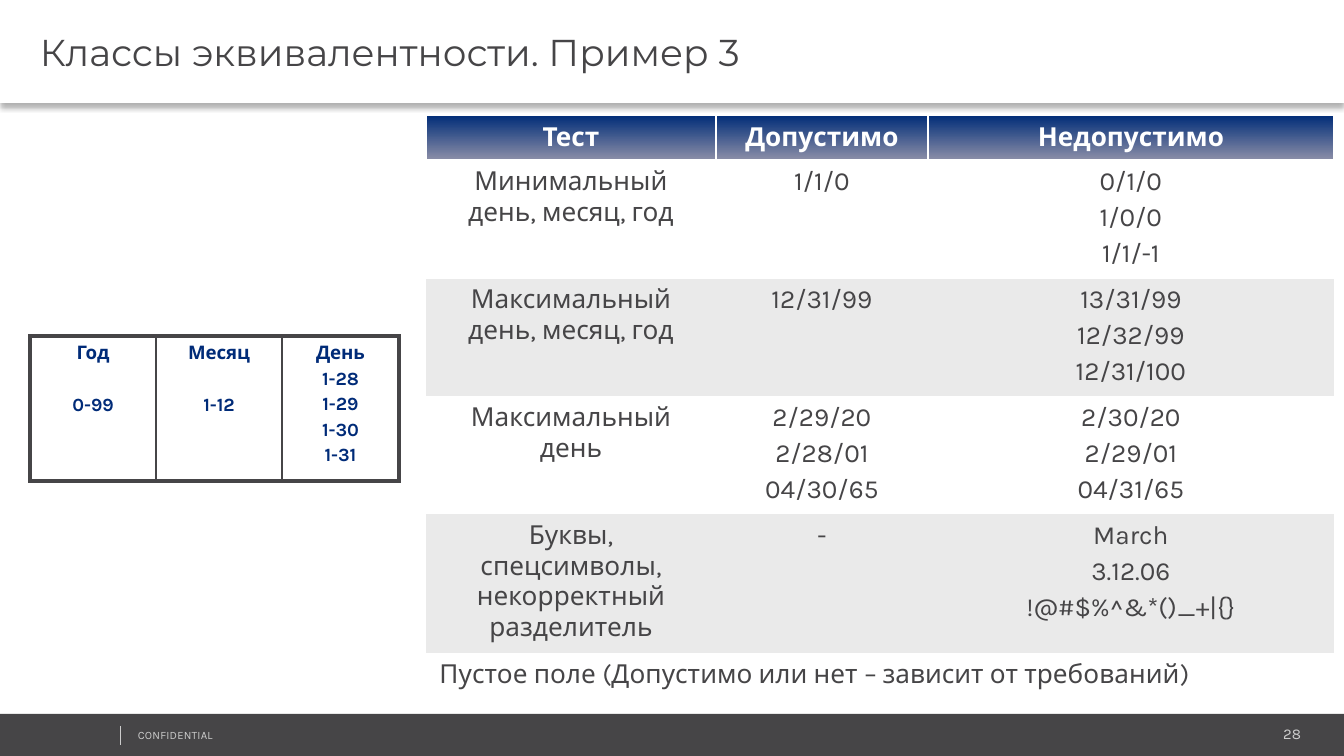
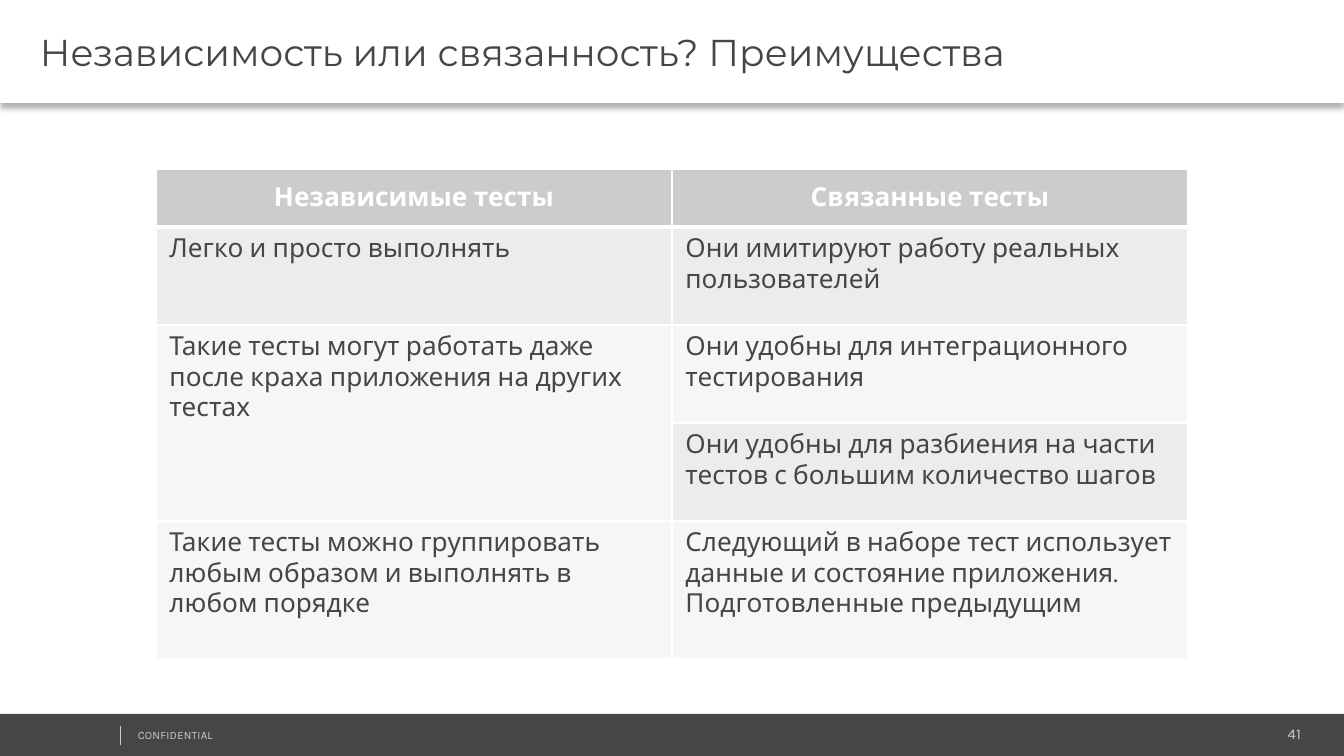
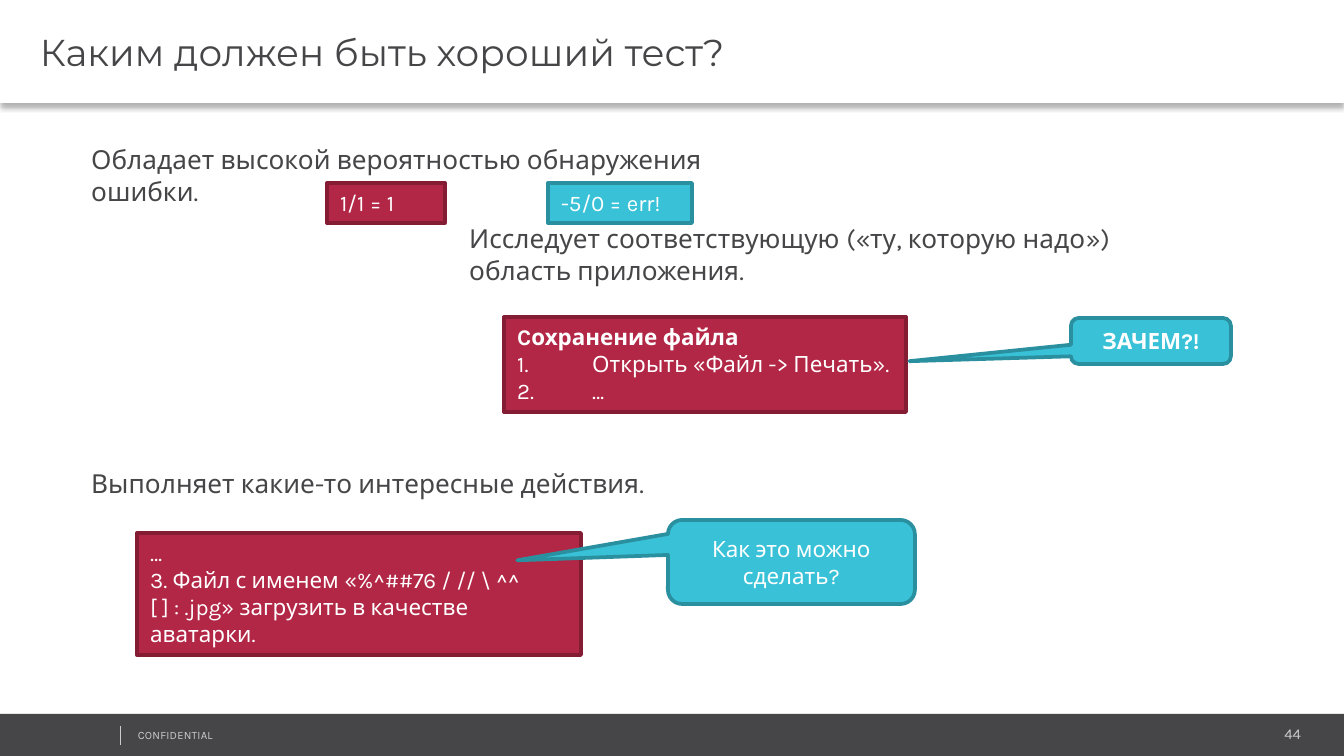
from lxml.etree import SubElement
from pptx import Presentation
from pptx.dml.color import RGBColor
from pptx.enum.shapes import MSO_CONNECTOR, MSO_SHAPE
from pptx.enum.text import MSO_ANCHOR, MSO_AUTO_SIZE, PP_ALIGN
from pptx.oxml import parse_xml
from pptx.oxml.ns import nsdecls, qn
from pptx.util import Pt

PX = 6804
WHITE = RGBColor(0xFF, 0xFF, 0xFF)
DARK = RGBColor(0x46, 0x45, 0x47)
LIGHT = RGBColor(0xCC, 0xCC, 0xCC)
NAVY = RGBColor(0x00, 0x2B, 0x78)
GRADIENT_TOP = RGBColor(0x00, 0x2C, 0x78)
GRADIENT_BOTTOM = RGBColor(0x8B, 0x8E, 0xA7)
BAND = RGBColor(0xEA, 0xEA, 0xEA)
ROW_DARK = RGBColor(0xEC, 0xEC, 0xEC)
ROW_LIGHT = RGBColor(0xF6, 0xF6, 0xF6)
RED = RGBColor(0xB2, 0x27, 0x46)
RED_EDGE = RGBColor(0x84, 0x1D, 0x34)
CYAN = RGBColor(0x39, 0xC2, 0xD7)
CYAN_EDGE = RGBColor(0x2A, 0x90, 0x9F)
NO_STYLE = "{2D5ABB26-0587-4C30-8999-92F81FD0307C}"
LEFT, CENTER, RIGHT = PP_ALIGN.LEFT, PP_ALIGN.CENTER, PP_ALIGN.RIGHT


def write(frame, lines, size, color, bold=False, align=LEFT, gap=0, font="Karla"):
    frame.text = "\n".join(lines)
    frame.word_wrap = True
    for index, paragraph in enumerate(frame.paragraphs):
        paragraph.alignment = align
        if index and gap:
            paragraph.space_before = Pt(gap)
        paragraph.font.name = font
        paragraph.font.size = Pt(size)
        paragraph.font.bold = bold
        paragraph.font.color.rgb = color


def set_borders(cell, color, **widths):
    properties = cell._tc.get_or_add_tcPr()
    sides = [side for side in "LRTB" if side in widths]
    for index, side in enumerate(sides):
        properties.insert(index, parse_xml(
            f'<a:ln{side} {nsdecls("a")} w="{Pt(widths[side])}"><a:solidFill>'
            f'<a:srgbClr val="{color}"/></a:solidFill></a:ln{side}>'))


presentation = Presentation()
presentation.slide_width = 1344 * PX
presentation.slide_height = 756 * PX

slides = []
for title_text, number in [
    ("Классы эквивалентности. Пример 3", "28"),
    ("Независимость или связанность? Преимущества", "41"),
    ("Каким должен быть хороший тест?", "44"),
]:
    slide = presentation.slides.add_slide(presentation.slide_layouts[5])
    slides.append(slide)

    title = slide.shapes.title
    title.left, title.top, title.width, title.height = 0, 0, 1344 * PX, 103 * PX
    title.fill.solid()
    title.fill.fore_color.rgb = WHITE
    title.shadow.inherit = False
    title._element.spPr.find(qn("a:effectLst")).append(parse_xml(
        f'<a:outerShdw {nsdecls("a")} blurRad="{Pt(3.1)}" dist="{Pt(2)}" dir="5400000" '
        'algn="t" rotWithShape="0"><a:srgbClr val="000000"><a:alpha val="30000"/>'
        '</a:srgbClr></a:outerShdw>'))
    frame = title.text_frame
    frame.auto_size = MSO_AUTO_SIZE.NONE
    frame.vertical_anchor = MSO_ANCHOR.MIDDLE
    frame.margin_left, frame.margin_right = 40 * PX, 9 * PX
    frame.margin_top = frame.margin_bottom = 5 * PX
    write(frame, [title_text], 20, DARK, font="Montserrat")

    footer = slide.shapes.add_shape(MSO_SHAPE.RECTANGLE, 0, 714 * PX, 1345 * PX, 44 * PX)
    footer.shadow.inherit = False
    footer.fill.solid()
    footer.fill.fore_color.rgb = DARK
    footer.line.fill.background()

    for text, box, size, align in [
        (number, (1091, 720, 219, 28), 8, RIGHT),
        ("CONFIDENTIAL", (129, 723, 340, 24), 6, LEFT),
    ]:
        label = slide.shapes.add_textbox(*[length * PX for length in box])
        frame = label.text_frame
        frame.margin_left = frame.margin_right = 9 * PX
        frame.margin_top = frame.margin_bottom = 5 * PX
        write(frame, [text], size, LIGHT, align=align)
    frame.paragraphs[0].runs[0]._r.get_or_add_rPr().set("spc", "10")

    divider = slide.shapes.add_connector(
        MSO_CONNECTOR.STRAIGHT, 120 * PX, 726 * PX, 120 * PX, 745 * PX)
    divider.line.color.rgb = LIGHT
    divider.line.width = Pt(0.25)
    SubElement(divider._element.spPr, qn("a:effectLst"))

classes_slide, independence_slide, good_test_slide = slides

tables = []
for slide, left, top, columns, rows in [
    (classes_slide, 30, 336, [126, 126, 117], [145]),
    (classes_slide, 426, 115, [290, 212, 406], [42, 105, 105, 105, 105, 63]),
    (independence_slide, 156, 169, [516, 516], [58, 98, 98, 98, 138]),
]:
    table = slide.shapes.add_table(
        len(rows), len(columns), left * PX, top * PX, sum(columns) * PX, sum(rows) * PX).table
    table._tbl.tblPr.find(qn("a:tableStyleId")).text = NO_STYLE
    table.horz_banding = False
    for column, width in zip(table.columns, columns):
        column.width = width * PX
    for row, height in zip(table.rows, rows):
        row.height = height * PX
    tables.append(table)
range_table, date_table, benefit_table = tables

range_table.first_row = False
for index, (lines, gap) in enumerate([
    (["Год", "0-99"], 16),
    (["Месяц", "1-12"], 16),
    (["День", "1-28", "1-29", "1-30", "1-31"], 2),
]):
    cell = range_table.cell(0, index)
    write(cell.text_frame, lines, 10, NAVY, True, CENTER, gap)
    cell.fill.background()
    set_borders(cell, DARK, L=1 if index else 2.25, R=2.25 if index == 2 else 1, T=2.25, B=2.25)

date_rows = [
    (["Тест"], ["Допустимо"], ["Недопустимо"]),
    (["Минимальный день, месяц, год"], ["1/1/0"], ["0/1/0", "1/0/0", "1/1/-1"]),
    (["Максимальный день, месяц, год"], ["12/31/99"], ["13/31/99", "12/32/99", "12/31/100"]),
    (["Максимальный день"], ["2/29/20", "2/28/01", "04/30/65"],
     ["2/30/20", "2/29/01", "04/31/65"]),
    (["Буквы, спецсимволы, некорректный разделитель"], ["-"],
     ["March", "3.12.06", "!@#$%^&*()_+|{}"]),
    (["Пустое поле (Допустимо или нет – зависит от требований)"],),
]
date_table.cell(5, 0).merge(date_table.cell(5, 2))
for row_index, row in enumerate(date_rows):
    header = row_index == 0
    for column_index, lines in enumerate(row):
        cell = date_table.cell(row_index, column_index)
        write(cell.text_frame, lines, 14, WHITE if header else DARK, header,
              CENTER if len(row) == 3 else LEFT, 2.8)
        if header:
            cell.vertical_anchor = MSO_ANCHOR.MIDDLE
            cell.fill.gradient()
            cell.fill.gradient_angle = 270
            for stop, color, position in zip(
                    cell.fill.gradient_stops, (GRADIENT_TOP, GRADIENT_BOTTOM), (0, 1)):
                stop.color.rgb = color
                stop.position = position
            set_borders(cell, WHITE, L=1, R=1, T=1, B=1)
        elif row_index in (2, 4):
            cell.fill.solid()
            cell.fill.fore_color.rgb = BAND
        else:
            cell.fill.background()
            if row_index == 1:
                set_borders(cell, WHITE, T=1)

benefit_rows = [
    (LIGHT, "Независимые тесты", "Связанные тесты"),
    (ROW_DARK, "Легко и просто выполнять", "Они имитируют работу реальных пользователей"),
    (ROW_LIGHT, "Такие тесты могут работать даже после краха приложения на других тестах",
     "Они удобны для интеграционного тестирования"),
    (ROW_DARK, None, "Они удобны для разбиения на части тестов с большим количество шагов"),
    (ROW_LIGHT, "Такие тесты можно группировать любым образом и выполнять в любом порядке",
     "Следующий в наборе тест использует данные и состояние приложения. "
     "Подготовленные предыдущим"),
]
benefit_table.cell(2, 0).merge(benefit_table.cell(3, 0))
for row_index, (color, *texts) in enumerate(benefit_rows):
    header = row_index == 0
    for column_index, text in enumerate(texts):
        cell = benefit_table.cell(row_index, column_index)
        cell.fill.solid()
        cell.fill.fore_color.rgb = color
        set_borders(cell, WHITE, L=1, R=1, T=3 if row_index == 1 else 1, B=3 if header else 1)
        if header:
            cell.vertical_anchor = MSO_ANCHOR.MIDDLE
        if text:
            write(cell.text_frame, [text], 14, WHITE if header else DARK, header,
                  CENTER if header else LEFT)

RECTANGLE, CALLOUT = MSO_SHAPE.RECTANGLE, MSO_SHAPE.ROUNDED_RECTANGULAR_CALLOUT
qualities = [
    ("Обладает высокой вероятностью обнаружения ошибки.", (78, 137, 715, 46), [
        (RECTANGLE, (327, 183, 118, 40), RED, RED_EDGE, ["1/1 = 1"], False, []),
        (RECTANGLE, (548, 183, 144, 40), CYAN, CYAN_EDGE, ["-5/0 = err!"], False, []),
    ]),
    ("Исследует соответствующую («ту, которую надо») область приложения.",
     (456, 216, 745, 77), [
        (RECTANGLE, (504, 317, 402, 95), RED, RED_EDGE,
         ["Cохранение файла", "Открыть «Файл -> Печать».", "…"], True, []),
        (CALLOUT, (1071, 318, 160, 46), CYAN, CYAN_EDGE, ["ЗАЧЕМ?!"], True,
         [-1.51, 0.44, 0.17]),
    ]),
    ("Выполняет какие-то интересные действия.", (78, 461, 672, 46), [
        (RECTANGLE, (137, 533, 444, 122), RED, RED_EDGE,
         ["…", "3. Файл с именем «%^##76 / // \\ ^^ [ ] : .jpg» загрузить в качестве аватарки.",
          "…"], False, []),
        (CALLOUT, (668, 520, 247, 84), CYAN, CYAN_EDGE, ["Как это можно сделать?"], False,
         [-1.11, -0.02, 0.17]),
    ]),
]
for quality, quality_box, examples in qualities:
    group = good_test_slide.shapes.add_group_shape()
    quality_label = group.shapes.add_textbox(*[length * PX for length in quality_box])
    write(quality_label.text_frame, [quality], 14, DARK)
    for kind, box, fill, edge, lines, bold, adjustments in examples:
        shape = group.shapes.add_shape(kind, *[length * PX for length in box])
        shape.shadow.inherit = False
        shape.fill.solid()
        shape.fill.fore_color.rgb = fill
        shape.line.color.rgb = edge
        shape.line.width = Pt(2)
        for index, value in enumerate(adjustments):
            shape.adjustments[index] = value
        callout = kind == CALLOUT
        shape.text_frame.vertical_anchor = MSO_ANCHOR.MIDDLE if callout else MSO_ANCHOR.TOP
        write(shape.text_frame, lines, 12, WHITE, bold, CENTER if callout else LEFT)
        if bold:
            for paragraph in shape.text_frame.paragraphs[1:]:
                paragraph.font.bold = False
                properties = paragraph._p.get_or_add_pPr()
                properties.set("marL", str(75 * PX))
                properties.set("indent", str(-75 * PX))
                properties.insert(0, parse_xml(
                    f'<a:buAutoNum {nsdecls("a")} type="arabicPeriod"/>'))

presentation.save("out.pptx")
